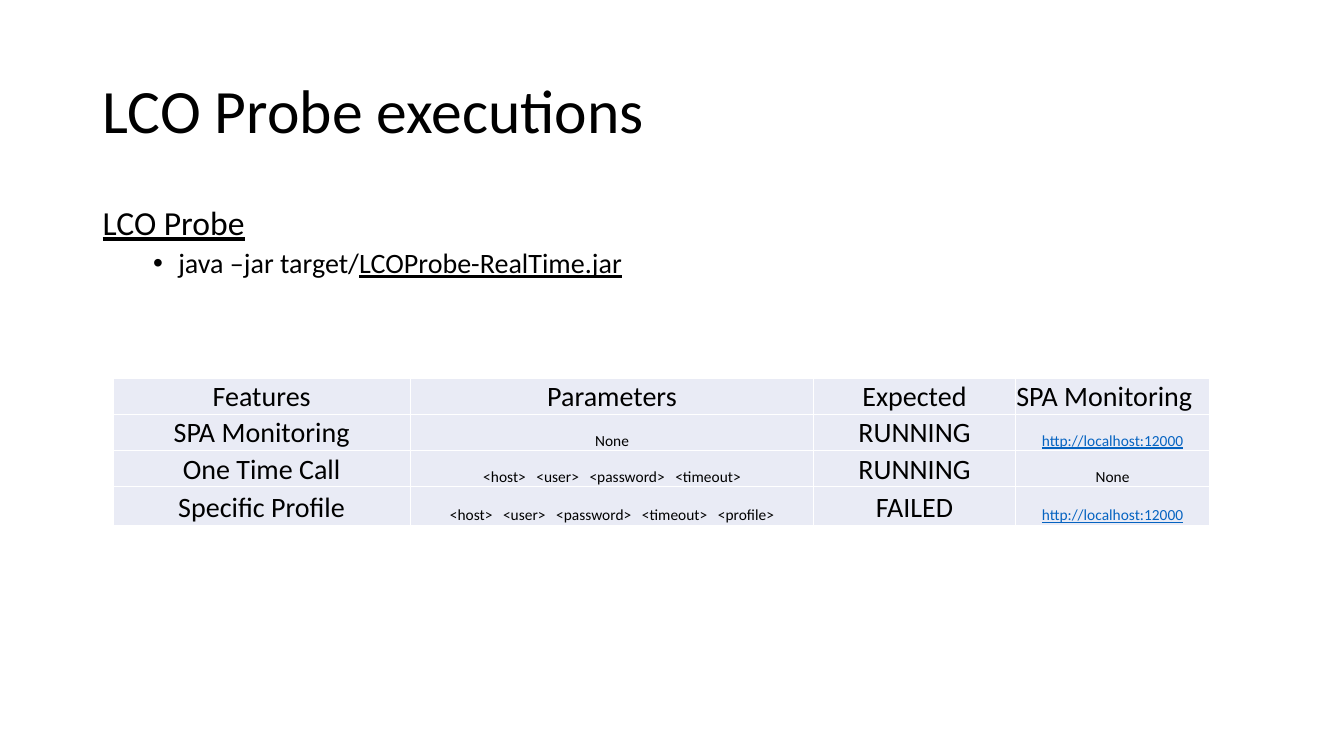
from dataclasses import dataclass
from lxml.etree import SubElement as Sub
from pptx import Presentation as Deck
from pptx.dml.color import RGBColor as RGB
from pptx.enum.text import MSO_ANCHOR as Anchor, PP_ALIGN as Align
from pptx.oxml.ns import qn
from pptx.util import Inches, Pt


@dataclass(frozen=True)
class Theme:
    font: str = "Calibri"
    ink: str = "000000"
    link: str = "0563C1"
    cell: str = "E9EBF5"
    rule: str = "FFFFFF"
    title: int = 44
    head: int = 24
    text: int = 20
    small: int = 11
    gap: int = 5


class Page:
    def __init__(self, slide, theme):
        self.slide = slide
        self.theme = theme

    def style(self, run, size, color=None, under=False):
        font = run.font
        font.name = self.theme.font
        font.size = Pt(size)
        font.color.rgb = RGB.from_string(color or self.theme.ink)
        font.underline = under

    def box(self, left, top, width, height, anchor=Anchor.TOP):
        box = self.slide.shapes.add_textbox(*map(Inches, (left, top, width, height)))
        frame = box.text_frame
        frame.word_wrap = True
        frame.vertical_anchor = anchor
        return frame

    def line(self, para, text, size, before=0, under=False):
        para.text = text
        para.line_spacing = 0.9
        para.space_before = Pt(before)
        self.style(para.runs[0], size, under=under)

    def bullet(self, para, text, tail):
        self.line(para, text, self.theme.text, before=5)
        run = para.add_run()
        run.text = tail
        self.style(run, self.theme.text, under=True)
        props = para._p.get_or_add_pPr()
        props.set("marL", str(Inches(0.75)))
        props.set("indent", str(Inches(-0.25)))
        Sub(props, qn("a:buFont"), typeface="Arial")
        Sub(props, qn("a:buChar"), char="•")

    def params(self, para, names):
        for name in names:
            if para.runs:
                space = para.add_run()
                space.text = " "
                self.style(space, self.theme.small)
                space.font._element.set("spc", str(self.theme.gap * 100))
            run = para.add_run()
            run.text = f"<{name}>"
            self.style(run, self.theme.small)

    def border(self, cell):
        props = cell._tc.get_or_add_tcPr()
        for spot, side in enumerate(("lnL", "lnR", "lnT", "lnB")):
            line = Sub(props, qn(f"a:{side}"), w=str(Pt(1)))
            fill = Sub(line, qn("a:solidFill"))
            Sub(fill, qn("a:srgbClr"), val=self.theme.rule)
            props.insert(spot, line)

    def cell(self, cell, value, size, align):
        cell.fill.solid()
        cell.fill.fore_color.rgb = RGB.from_string(self.theme.cell)
        cell.vertical_anchor = Anchor.BOTTOM
        cell.margin_left = cell.margin_right = cell.margin_top = Inches(0.01)
        cell.margin_bottom = 0
        self.border(cell)
        para = cell.text_frame.paragraphs[0]
        para.alignment = align
        if isinstance(value, list):
            self.params(para, value)
            return
        para.text = value
        link = value.startswith("http")
        self.style(para.runs[0], size, self.theme.link if link else None, link)

    def table(self, left, top, cols, tall, rows):
        spot = map(Inches, (left, top, sum(cols), sum(tall)))
        table = self.slide.shapes.add_table(len(rows), len(cols), *spot).table
        table.first_row = table.horz_banding = False
        for col, width in zip(table.columns, cols):
            col.width = Inches(width)
        for row, height in zip(table.rows, tall):
            row.height = Inches(height)
        for r, row in enumerate(rows):
            for c, value in enumerate(row):
                size = self.theme.small if r and c % 2 else self.theme.text
                last = r == 0 and c == len(cols) - 1
                align = Align.LEFT if last else Align.CENTER
                self.cell(table.cell(r, c), value, size, align)


def main():
    deck = Deck()
    deck.slide_width = Inches(13.33)
    deck.slide_height = Inches(7.5)
    theme = Theme()
    page = Page(deck.slides.add_slide(deck.slide_layouts[6]), theme)

    title = page.box(0.92, 0.4, 11.5, 1.45, Anchor.MIDDLE)
    page.line(title.paragraphs[0], "LCO Probe executions", theme.title)

    body = page.box(0.92, 2, 11.5, 4.76)
    page.line(body.paragraphs[0], "LCO Probe", theme.head, before=10, under=True)
    page.bullet(body.add_paragraph(), "java –jar target/", "LCOProbe-RealTime.jar")

    url = "http://localhost:12000"
    call = ["host", "user", "password", "timeout"]
    rows = [
        ("Features", "Parameters", "Expected", "SPA Monitoring"),
        ("SPA Monitoring", "None", "RUNNING", url),
        ("One Time Call", call, "RUNNING", "None"),
        ("Specific Profile", call + ["profile"], "FAILED", url),
    ]
    page.table(1.12, 3.75, (2.95, 4, 2, 1.93), (0.36, 0.36, 0.36, 0.38), rows)
    deck.save("out.pptx")


if __name__ == "__main__":
    main()
